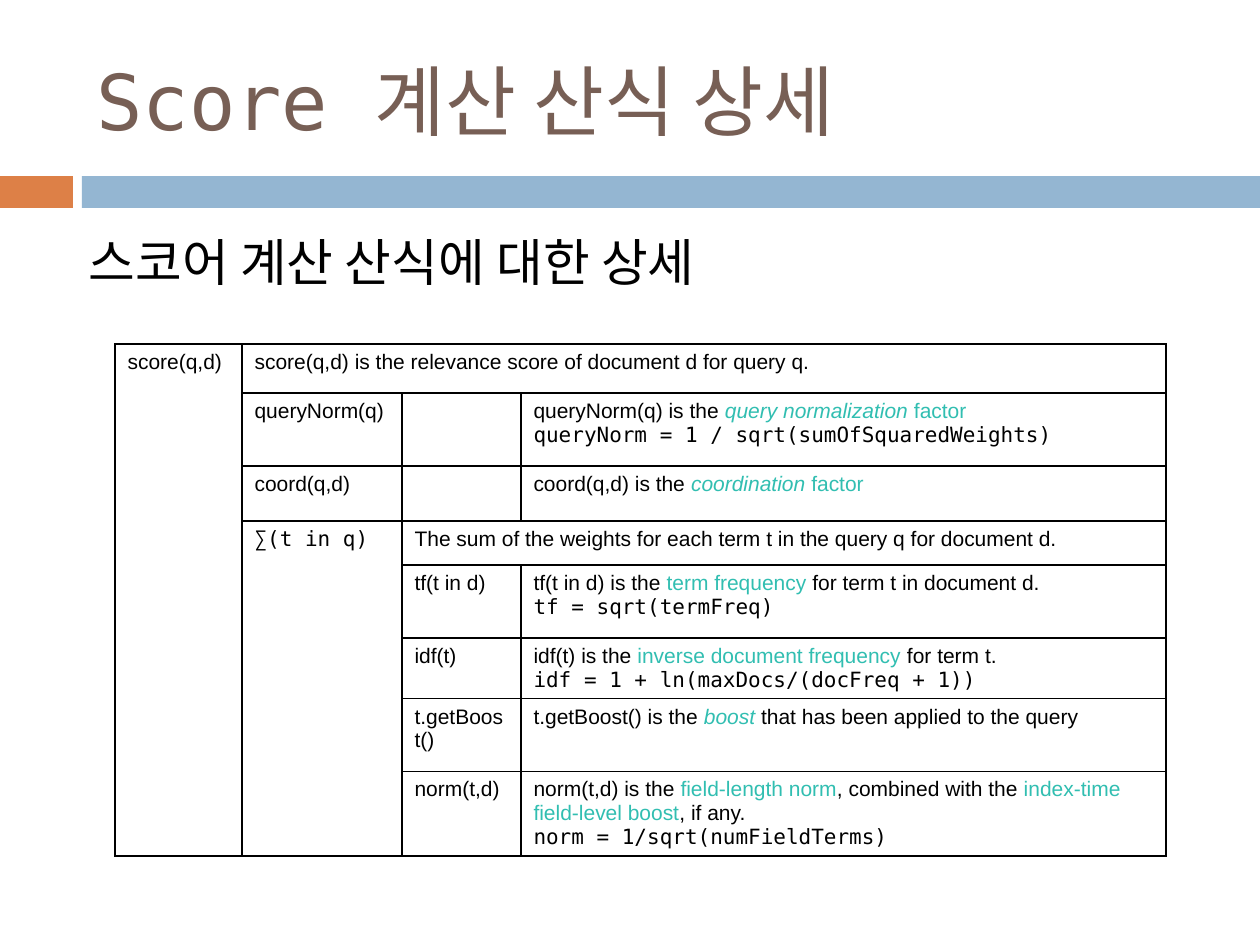
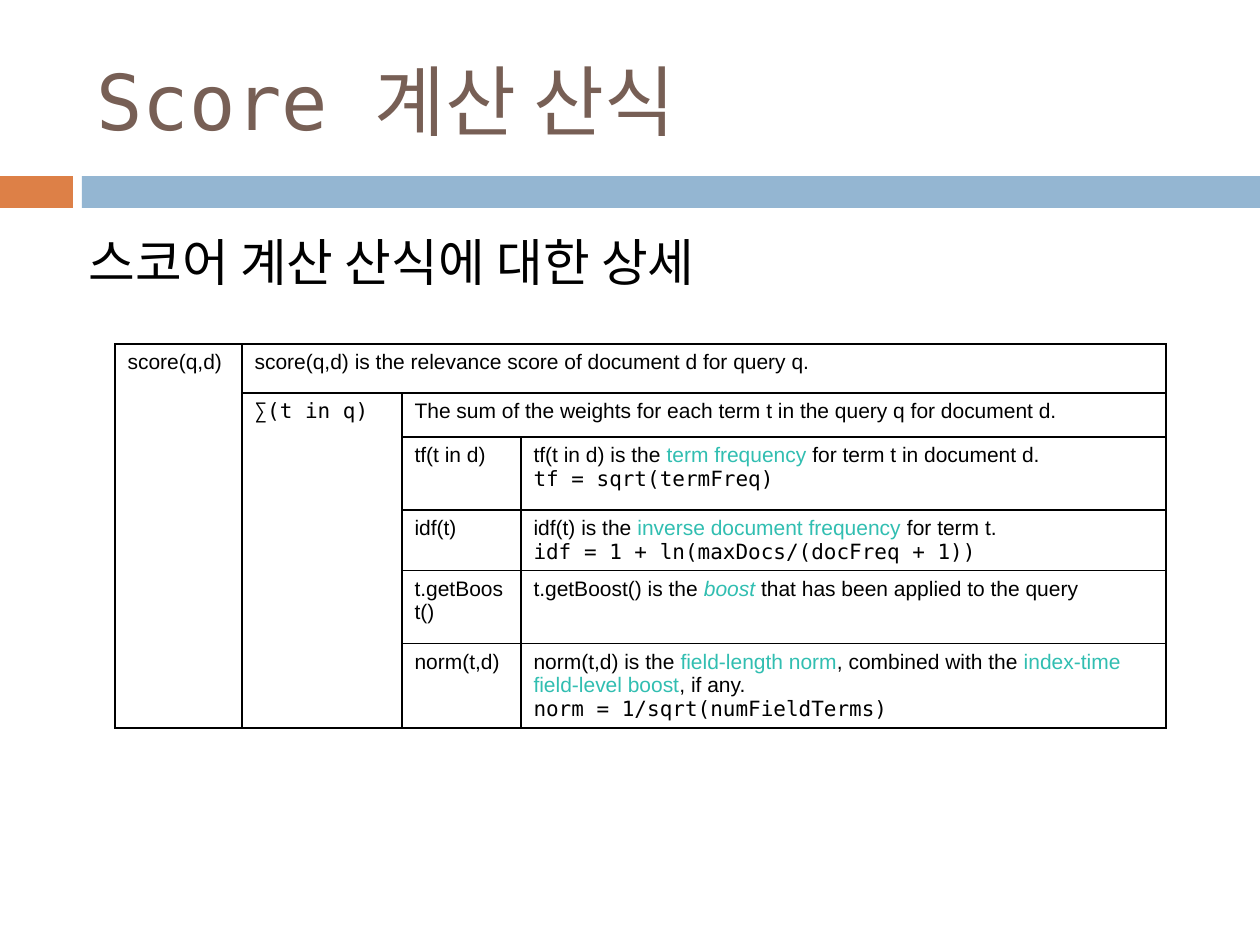
from collections import namedtuple

from lxml.etree import SubElement
from pptx import Presentation
from pptx.dml.color import RGBColor
from pptx.enum.shapes import MSO_SHAPE as Shape
from pptx.enum.text import MSO_ANCHOR as Anchor, MSO_AUTO_SIZE as AutoSize, PP_ALIGN as Align
from pptx.oxml.ns import qn
from pptx.util import Pt

EMU_PER_PX = 914400 / 126

BLACK = RGBColor(0x00, 0x00, 0x00)
WHITE = RGBColor(0xFF, 0xFF, 0xFF)
BROWN = RGBColor(0x77, 0x5F, 0x55)
ORANGE = RGBColor(0xDD, 0x80, 0x47)
BLUE = RGBColor(0x94, 0xB6, 0xD2)
TEAL = RGBColor(0x31, 0xBE, 0xB1)

SANS = "Arial"
MONO = "DejaVu Sans Mono"

Box = namedtuple("Box", "left top width height")
Run = namedtuple("Run", "text color font italic", defaults=(BLACK, SANS, False))

TITLE_BOX = Box(84, 32, 1124, 136)
BAND_BOX = Box(0, 176, 1260, 32)
BODY_BOX = Box(63, 224, 1134, 164)
TABLE_BOX = Box(115, 344, 1051, 0)

BAND_MARK_WIDTH = 73
BAND_GAP = 9
BODY_INDENT = 13
COLUMN_WIDTHS = (127, 160, 119, 645)
LAST_COLUMN = len(COLUMN_WIDTHS) - 1


def term(text, italic=False):
    return Run(text, TEAL, SANS, italic)


def code(text):
    return [Run(text, font=MONO)]


def plain(text):
    return [[Run(text)]]


SCORE_ROW = (49, {
    0: plain("score(q,d)"),
    1: plain("score(q,d) is the relevance score of document d for query q."),
})
QUERY_ROWS = [
    (73, {
        1: plain("queryNorm(q)"),
        3: [[Run("queryNorm(q) is the "), term("query normalization", True), term(" factor")],
            code("queryNorm = 1 / sqrt(sumOfSquaredWeights)")],
    }),
    (55, {
        1: plain("coord(q,d)"),
        3: [[Run("coord(q,d) is the "), term("coordination ", True), term("factor")]],
    }),
]
TERM_ROWS = [
    (44, {
        1: [code("∑(t in q)")],
        2: plain("The sum of the weights for each term t in the query q for document d."),
    }),
    (73, {
        2: plain("tf(t in d)"),
        3: [[Run("tf(t in d) is the "), term("term frequency"),
             Run(" for term t in document d.")],
            code("tf = sqrt(termFreq)")],
    }),
    (42, {
        2: plain("idf(t)"),
        3: [[Run("idf(t) is the "), term("inverse document frequency"), Run(" for term t.")],
            code("idf = 1 + ln(maxDocs/(docFreq + 1))")],
    }),
    (73, {
        2: plain("t.getBoost()"),
        3: [[Run("t.getBoost() is the "), term("boost", True),
             Run(" that has been applied to the query")]],
    }),
    (73, {
        2: plain("norm(t,d)"),
        3: [[Run("norm(t,d) is the "), term("field-length norm"),
             Run(", combined with the "), term("index-time field-level boost"),
             Run(", if any.")],
            code("norm = 1/sqrt(numFieldTerms)")],
    }),
]


def px(length):
    return round(length * EMU_PER_PX)


def place(shape, box):
    shape.left, shape.top, shape.width, shape.height = map(px, box)


def add_run(paragraph, content, size):
    run = paragraph.add_run()
    run.text = content.text
    run.font.name = content.font
    run.font.size = Pt(size)
    run.font.italic = content.italic
    run.font.color.rgb = content.color


def fill_placeholder(shape, box, content, size, anchor):
    place(shape, box)
    frame = shape.text_frame
    frame.auto_size = AutoSize.NONE
    frame.word_wrap = True
    frame.vertical_anchor = anchor
    paragraph = frame.paragraphs[0]
    paragraph.alignment = Align.LEFT
    paragraph.space_before = Pt(0)
    add_run(paragraph, content, size)
    return paragraph


def add_title(slide, box, text):
    fill_placeholder(slide.shapes.title, box, Run(text, BROWN, MONO), 44, Anchor.MIDDLE)


def add_body(slide, box, text):
    paragraph = fill_placeholder(slide.placeholders[1], box, Run(text, font=MONO), 29, Anchor.TOP)
    properties = paragraph._p.get_or_add_pPr()
    properties.set("marL", str(px(BODY_INDENT)))
    properties.set("indent", "0")
    SubElement(properties, qn("a:buNone"))


def add_band(slide, box):
    rest = BAND_MARK_WIDTH + BAND_GAP
    parts = ((0, BAND_MARK_WIDTH, ORANGE), (rest, box.width - rest, BLUE))
    for offset, width, color in parts:
        bar = slide.shapes.add_shape(
            Shape.RECTANGLE, px(box.left + offset), px(box.top), px(width), px(box.height))
        bar.shadow.inherit = False
        bar.fill.solid()
        bar.fill.fore_color.rgb = color
        bar.line.fill.background()


def style_cell(cell):
    properties = cell._tc.get_or_add_tcPr()
    for side in ("lnL", "lnR", "lnT", "lnB"):
        line = SubElement(properties, qn(f"a:{side}"), w=str(Pt(1)))
        color = SubElement(SubElement(line, qn("a:solidFill")), qn("a:srgbClr"))
        color.set("val", str(BLACK))
    cell.fill.solid()
    cell.fill.fore_color.rgb = WHITE


def fill_cell(cell, paragraphs):
    frame = cell.text_frame
    for index, runs in enumerate(paragraphs):
        paragraph = frame.add_paragraph() if index else frame.paragraphs[0]
        for content in runs:
            add_run(paragraph, content, 12)


def add_score_table(slide, box, rows):
    height = sum(row_height for row_height, _ in rows)
    table = slide.shapes.add_table(
        len(rows), len(COLUMN_WIDTHS), px(box.left), px(box.top), px(box.width), px(height)).table
    table.first_row = table.horz_banding = False
    for column, width in zip(table.columns, COLUMN_WIDTHS):
        column.width = px(width)
    for cell in table.iter_cells():
        style_cell(cell)

    last_row = len(rows) - 1
    table.cell(0, 0).merge(table.cell(last_row, 0))
    table.cell(len(rows) - len(TERM_ROWS), 1).merge(table.cell(last_row, 1))
    for index, (row_height, cells) in enumerate(rows):
        table.rows[index].height = px(row_height)
        last_filled = max(cells)
        if last_filled < LAST_COLUMN:
            table.cell(index, last_filled).merge(table.cell(index, LAST_COLUMN))
        for column, paragraphs in cells.items():
            fill_cell(table.cell(index, column), paragraphs)


def add_score_slide(presentation, title, rows):
    slide = presentation.slides.add_slide(presentation.slide_layouts[1])
    add_band(slide, BAND_BOX)
    add_title(slide, TITLE_BOX, title)
    add_body(slide, BODY_BOX, "스코어 계산 산식에 대한 상세")
    add_score_table(slide, TABLE_BOX, rows)


def main():
    presentation = Presentation()
    presentation.slide_width = px(1260)
    presentation.slide_height = px(945)
    add_score_slide(presentation, "Score 계산 산식 상세", [SCORE_ROW, *QUERY_ROWS, *TERM_ROWS])
    add_score_slide(presentation, "Score 계산 산식", [SCORE_ROW, *TERM_ROWS])
    presentation.save("out.pptx")


if __name__ == "__main__":
    main()
